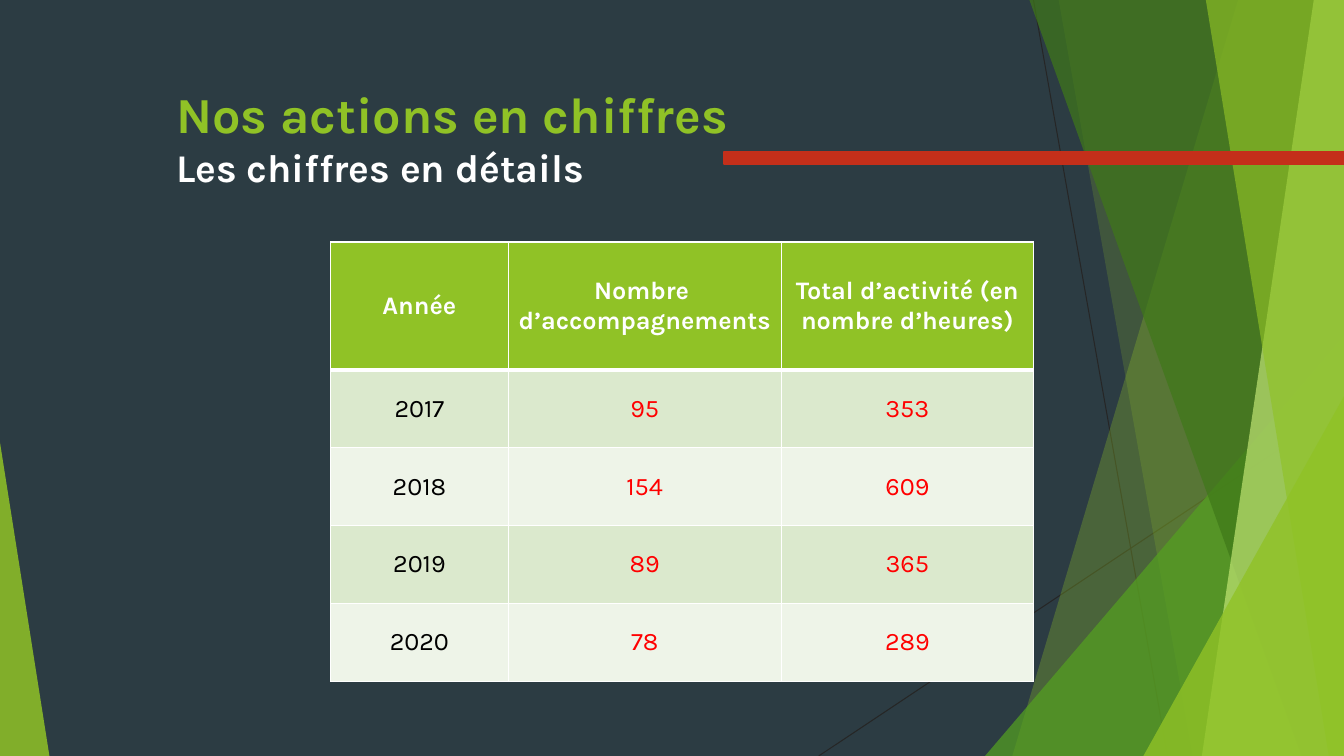
from collections import namedtuple
from dataclasses import dataclass

from lxml import etree
from pptx import Presentation
from pptx.dml import color
from pptx.enum import shapes, text
from pptx.oxml import ns
from pptx.util import Inches, Pt

Box = namedtuple("Box", "left top width height")


@dataclass(frozen=True)
class Theme:
    font: str = "Karla"
    slate: str = "2C3C43"
    lime: str = "90C226"
    green: str = "54A021"
    forest: str = "3F7819"
    pale_lime: str = "C0E474"
    red: str = "C42F1A"
    figure: str = "FF0000"
    hairline: str = "262626"
    white: str = "FFFFFF"
    black: str = "000000"
    bands: tuple = ("DBE9CD", "EEF4E8")
    title: int = 36
    subtitle: int = 28
    body: int = 18


THEME = Theme()


def rgb(value):
    return color.RGBColor.from_string(value)


def write(paragraph, words, size=THEME.body, ink=THEME.black, bold=False, align=None):
    run = paragraph.add_run()
    run.text = words
    run.font.name = THEME.font
    run.font.size = Pt(size)
    run.font.bold = bold
    run.font.color.rgb = rgb(ink)
    paragraph.alignment = align


def paint(shape, fill, opacity=100):
    shape.shadow.inherit = False
    shape.line.fill.background()
    shape.fill.solid()
    shape.fill.fore_color.rgb = rgb(fill)
    if opacity < 100:
        tint = shape.fill._xPr.find(".//" + ns.qn("a:srgbClr"))
        etree.SubElement(tint, ns.qn("a:alpha"), val=str(opacity * 1000))


def add_ray(slide, box, start, end):
    points = [Inches(n) for x, y in (start, end) for n in (box.left + x, box.top + y)]
    ray = slide.shapes.add_connector(shapes.MSO_CONNECTOR.STRAIGHT, *points)
    ray.line.color.rgb = rgb(THEME.hairline)
    ray.line.width = Pt(0.75)
    etree.SubElement(ray._element.spPr, ns.qn("a:effectLst"))


def add_facet(slide, box, top_x, bottom_x, fill, opacity):
    corners = [(top_x, 0), (box.width, 0), (box.width, box.height), (bottom_x, box.height)]
    points = [(Inches(box.left + x), Inches(box.top + y)) for x, y in corners]
    outline = slide.shapes.build_freeform(*points[0], scale=1.0)
    outline.add_line_segments(points[1:], close=True)
    paint(outline.convert_to_shape(), fill, opacity)


def add_corner(slide, box, apex, fill, opacity):
    corner = slide.shapes.add_shape(
        shapes.MSO_SHAPE.ISOSCELES_TRIANGLE, *map(Inches, box))
    corner.adjustments[0] = apex
    paint(corner, fill, opacity)


def add_right_corner(slide, box, width, height, fill, opacity):
    place = Box(box.left + box.width - width, box.top + box.height - height, width, height)
    add_corner(slide, place, 1, fill, opacity)


def add_facets(slide, box):
    add_ray(slide, box, (2.13, 0), (3.46, box.height))
    add_ray(slide, box, (box.width, 4.03), (0, box.height))
    add_facet(slide, box, 4.16, 1.92, THEME.lime, 30)
    add_facet(slide, box, 2.38, 3.71, THEME.lime, 20)
    add_right_corner(slide, box, 3.56, 4.17, THEME.green, 72)
    add_facet(slide, box, 2.09, 4.79, THEME.forest, 70)
    add_facet(slide, box, 4.91, 3.8, THEME.pale_lime, 70)
    add_facet(slide, box, 3.84, 5.06, THEME.lime, 65)
    add_right_corner(slide, box, 1.99, 3.57, THEME.lime, 80)


def add_heading(slide, box):
    frame = slide.shapes.add_textbox(*map(Inches, box)).text_frame
    frame.word_wrap = True
    frame.vertical_anchor = text.MSO_ANCHOR.MIDDLE
    write(frame.paragraphs[0], "Nos actions en chiffres",
          size=THEME.title, ink=THEME.lime, bold=True)
    write(frame.add_paragraph(), "Les chiffres en détails",
          size=THEME.subtitle, ink=THEME.white, bold=True)


def add_accent_bar(slide, box):
    bar = slide.shapes.add_shape(shapes.MSO_SHAPE.RECTANGLE, *map(Inches, box))
    paint(bar, THEME.red)
    bar.line.color.rgb = rgb(THEME.red)
    bar.line.width = Pt(1.5)


def set_borders(cell, **widths):
    properties = cell._tc.get_or_add_tcPr()
    for position, side in enumerate("LRTB"):
        border = etree.Element(ns.qn("a:ln" + side), w=str(Pt(widths.get(side, 1))))
        fill = etree.SubElement(border, ns.qn("a:solidFill"))
        etree.SubElement(fill, ns.qn("a:srgbClr"), val=THEME.white)
        properties.insert(position, border)


def fill_cell(cell, words, fill, **style):
    cell.fill.solid()
    cell.fill.fore_color.rgb = rgb(fill)
    cell.vertical_anchor = text.MSO_ANCHOR.MIDDLE
    frame = cell.text_frame
    for index, line in enumerate(words.split("\n")):
        paragraph = frame.add_paragraph() if index else frame.paragraphs[0]
        write(paragraph, line, align=text.PP_ALIGN.CENTER, **style)


def add_activity_table(slide, box):
    headings = ["Année", "Nombre \nd’accompagnements",
                "Total d’activité (en nombre d’heures)"]
    activity = [(2017, 95, 353), (2018, 154, 609), (2019, 89, 365), (2020, 78, 289)]
    table = slide.shapes.add_table(
        len(activity) + 1, len(headings), *map(Inches, box)).table
    for column, width in zip(table.columns, (1.76, 2.71, box.width - 4.47)):
        column.width = Inches(width)
    header_height = 1.27
    year_height = (box.height - header_height) / len(activity)
    for index, row in enumerate(table.rows):
        row.height = Inches(year_height if index else header_height)

    for column, heading in enumerate(headings):
        cell = table.cell(0, column)
        fill_cell(cell, heading, THEME.lime, ink=THEME.white, bold=True)
        set_borders(cell, B=3)
    for row, figures in enumerate(activity, 1):
        for column, figure in enumerate(figures):
            cell = table.cell(row, column)
            fill_cell(cell, str(figure), THEME.bands[(row - 1) % 2],
                      ink=THEME.figure if column else THEME.black)
            set_borders(cell, T=3 if row == 1 else 1)


def build_slide(deck):
    slide = deck.slides.add_slide(deck.slide_layouts[6])
    slide.background.fill.solid()
    slide.background.fill.fore_color.rgb = rgb(THEME.slate)
    add_facets(slide, Box(8.12, 0, 5.21, 7.5))
    add_corner(slide, Box(0, 4.39, 0.49, 3.11), 0, THEME.lime, 85)
    add_heading(slide, Box(1.65, 0.73, 10.5, 1.25))
    add_accent_bar(slide, Box(7.18, 1.51, 6.15, 0.12))
    add_activity_table(slide, Box(3.28, 2.4, 6.97, 4.36))


deck = Presentation()
deck.slide_width = Inches(13.33)
deck.slide_height = Inches(7.5)
build_slide(deck)
deck.save("out.pptx")
